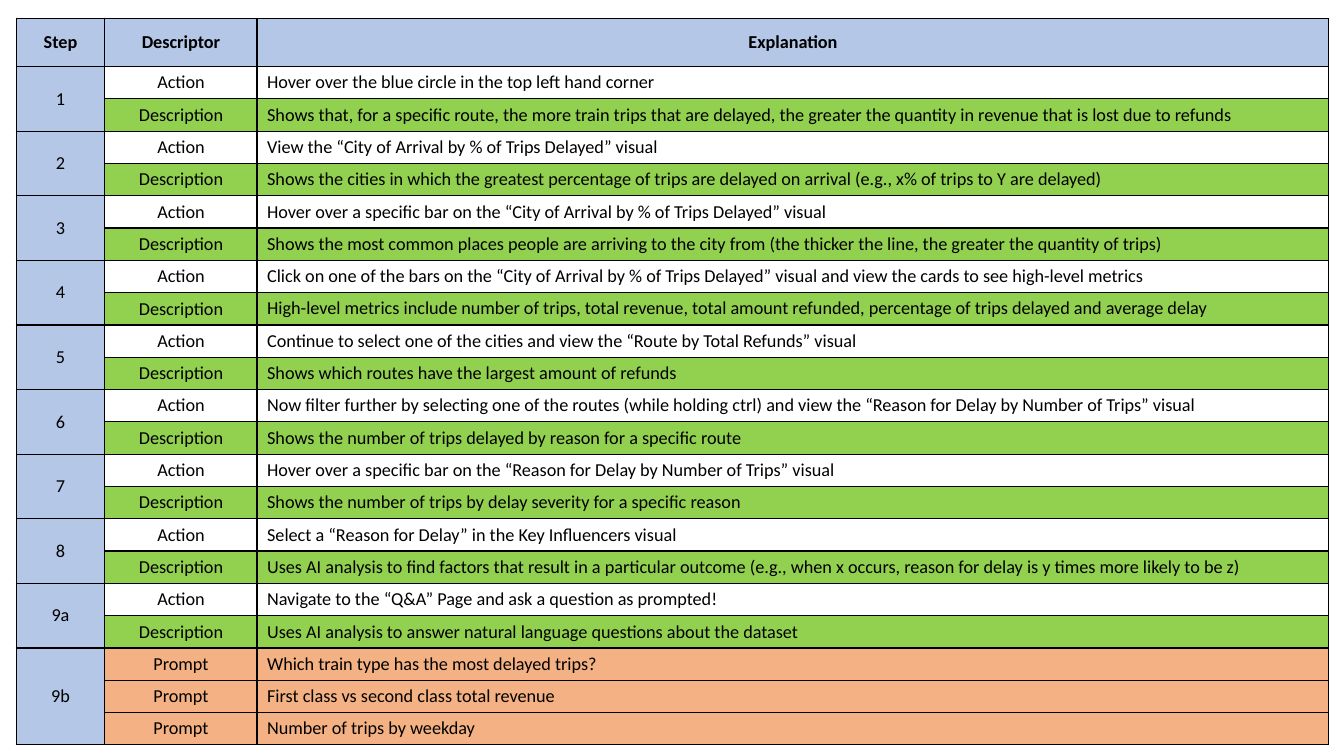
from dataclasses import dataclass

from lxml.etree import SubElement
from pptx import Presentation
from pptx.dml.color import RGBColor as Color
from pptx.enum.text import MSO_ANCHOR as Anchor, PP_ALIGN as Align
from pptx.oxml.ns import qn
from pptx.util import Inches, Pt


@dataclass(frozen=True)
class Theme:
    font: str = "Calibri"
    size: float = 13
    text: str = "000000"
    border: str = "000000"
    border_width: float = 1
    heading: str = "B4C7E7"
    description: str = "92D050"
    prompt: str = "F4B183"


THEME = Theme()
DESCRIPTOR_FILLS = {
    "Action": None,
    "Description": THEME.description,
    "Prompt": THEME.prompt,
}
HEADINGS = ("Step", "Descriptor", "Explanation")
COLUMN_WIDTHS = (0.88, 1.51, 10.63)
HEADING_HEIGHT = 0.48
ROW_HEIGHT = 0.32

ACTIONS = {
    "1": (
        "Hover over the blue circle in the top left hand corner",
        "Shows that, for a specific route, the more train trips that are delayed, "
        "the greater the quantity in revenue that is lost due to refunds",
    ),
    "2": (
        "View the “City of Arrival by % of Trips Delayed” visual",
        "Shows the cities in which the greatest percentage of trips are delayed "
        "on arrival (e.g., x% of trips to Y are delayed)",
    ),
    "3": (
        "Hover over a specific bar on the “City of Arrival by % of Trips Delayed” visual",
        "Shows the most common places people are arriving to the city from "
        "(the thicker the line, the greater the quantity of trips)",
    ),
    "4": (
        "Click on one of the bars on the “City of Arrival by % of Trips Delayed” "
        "visual and view the cards to see high-level metrics",
        "High-level metrics include number of trips, total revenue, total amount "
        "refunded, percentage of trips delayed and average delay",
    ),
    "5": (
        "Continue to select one of the cities and view the “Route by Total Refunds” visual",
        "Shows which routes have the largest amount of refunds",
    ),
    "6": (
        "Now filter further by selecting one of the routes (while holding ctrl) "
        "and view the “Reason for Delay by Number of Trips” visual",
        "Shows the number of trips delayed by reason for a specific route",
    ),
    "7": (
        "Hover over a specific bar on the “Reason for Delay by Number of Trips” visual",
        "Shows the number of trips by delay severity for a specific reason",
    ),
    "8": (
        "Select a “Reason for Delay” in the Key Influencers visual",
        "Uses AI analysis to find factors that result in a particular outcome "
        "(e.g., when x occurs, reason for delay is y times more likely to be z)",
    ),
    "9a": (
        "Navigate to the “Q&A” Page and ask a question as prompted!",
        "Uses AI analysis to answer natural language questions about the dataset",
    ),
}
PROMPTS = (
    "Which train type has the most delayed trips?",
    "First class vs second class total revenue",
    "Number of trips by weekday",
)


def list_steps():
    steps = [
        (step, list(zip(("Action", "Description"), explanations)))
        for step, explanations in ACTIONS.items()
    ]
    return steps + [("9b", [("Prompt", prompt) for prompt in PROMPTS])]


def write_text(cell, text, *, bold=False, align=Align.CENTER, anchor=Anchor.MIDDLE):
    cell.vertical_anchor = anchor
    para = cell.text_frame.paragraphs[0]
    para.alignment = align
    span = para.add_run()
    span.text = text
    span.font.name = THEME.font
    span.font.size = Pt(THEME.size)
    span.font.bold = bold
    span.font.color.rgb = Color.from_string(THEME.text)


def draw_borders(cell):
    properties = cell._tc.get_or_add_tcPr()
    for side in ("a:lnL", "a:lnR", "a:lnT", "a:lnB"):
        line = SubElement(properties, qn(side), w=str(Pt(THEME.border_width)))
        fill = SubElement(line, qn("a:solidFill"))
        SubElement(fill, qn("a:srgbClr"), val=THEME.border)


def fill_cell(cell, color):
    if color is None:
        cell.fill.background()
    else:
        cell.fill.solid()
        cell.fill.fore_color.rgb = Color.from_string(color)


def style_row(table, row, fills):
    for column, color in enumerate(fills):
        cell = table.cell(row, column)
        draw_borders(cell)
        fill_cell(cell, color)


def add_grid(page, row_count):
    heights = [HEADING_HEIGHT] + [ROW_HEIGHT] * (row_count - 1)
    table = page.shapes.add_table(
        row_count, len(HEADINGS), Inches(0.16), Inches(0.18),
        Inches(sum(COLUMN_WIDTHS)), Inches(sum(heights)),
    ).table
    for column, width in zip(table.columns, COLUMN_WIDTHS):
        column.width = Inches(width)
    for row, height in zip(table.rows, heights):
        row.height = Inches(height)
    return table


def add_headings(table):
    style_row(table, 0, [THEME.heading] * len(HEADINGS))
    for column, heading in enumerate(HEADINGS):
        write_text(table.cell(0, column), heading, bold=True)


def add_step(table, first_row, step, entries):
    for row, (descriptor, explanation) in enumerate(entries, first_row):
        color = DESCRIPTOR_FILLS[descriptor]
        style_row(table, row, (THEME.heading, color, color))
        write_text(table.cell(row, 1), descriptor)
        write_text(table.cell(row, 2), explanation, align=Align.LEFT, anchor=Anchor.TOP)
    step_cell = table.cell(first_row, 0)
    step_cell.merge(table.cell(first_row + len(entries) - 1, 0))
    write_text(step_cell, step)


def main():
    deck = Presentation()
    deck.slide_width = Inches(13.33)
    deck.slide_height = Inches(7.5)
    page = deck.slides.add_slide(deck.slide_layouts.get_by_name("Blank"))
    steps = list_steps()
    table = add_grid(page, 1 + sum(len(entries) for _, entries in steps))
    add_headings(table)
    row = 1
    for step, entries in steps:
        add_step(table, row, step, entries)
        row += len(entries)
    deck.save("out.pptx")


main()
